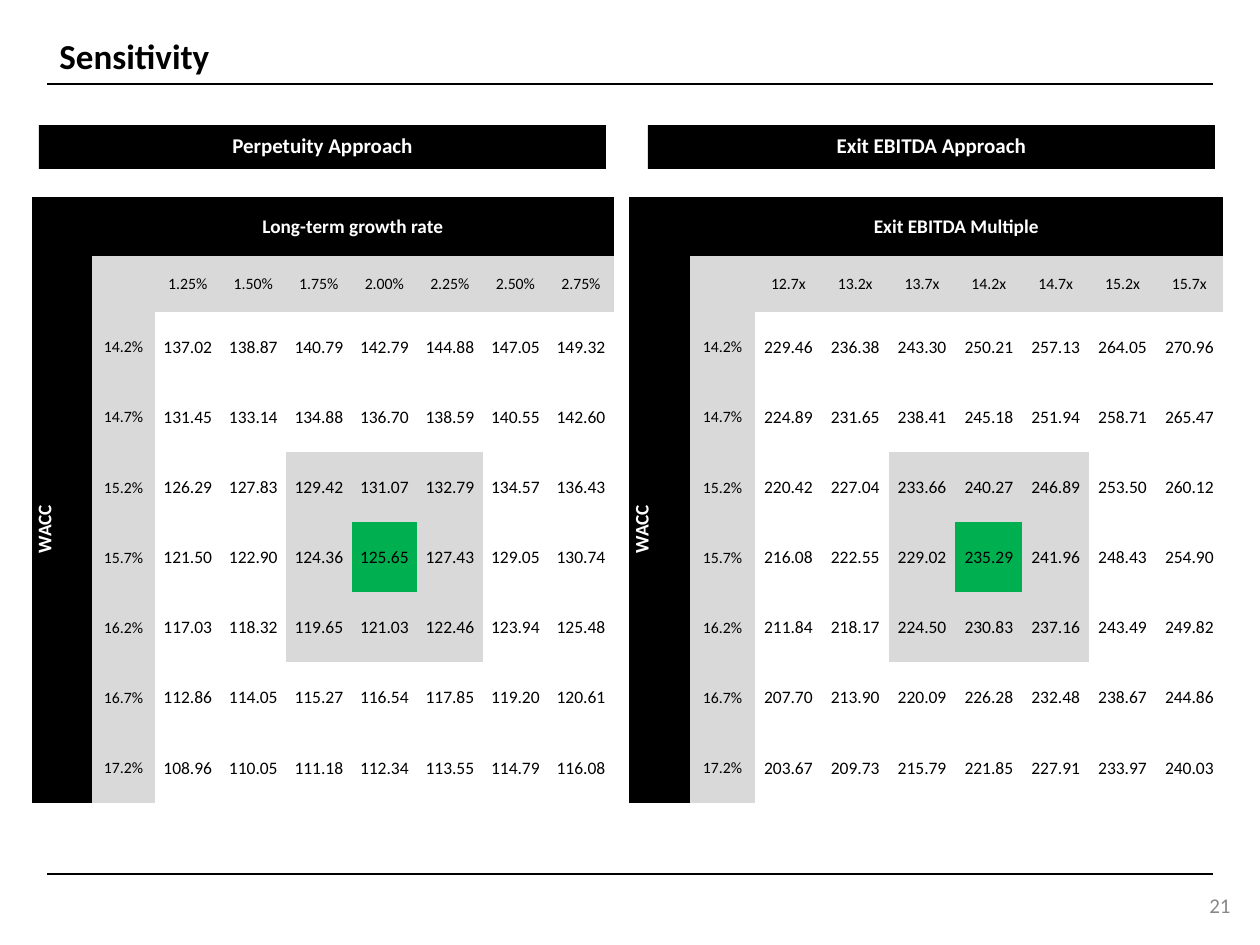
from dataclasses import dataclass

from pptx import Presentation
from pptx import util as u
from pptx.dml.color import RGBColor
from pptx.enum import shapes, text
from pptx.oxml import ns
from pptx.oxml import xmlchemy

SCALE = u.Inches(1) / 126
FONT = "Calibri"
NO_STYLE = "{2D5ABB26-0587-4C30-8999-92F81FD0307C}"

BLACK = RGBColor(0x00, 0x00, 0x00)
WHITE = RGBColor(0xFF, 0xFF, 0xFF)
GREY = RGBColor(0xD9, 0xD9, 0xD9)
PAGE_GREY = RGBColor(0x88, 0x88, 0x88)
GREEN = RGBColor(0x00, 0xB0, 0x50)

TABLE_TOP = 197
HEAD_HEIGHTS = (59, 56)
BODY_HEIGHT = 491
STEPS = 7
MIDDLE = STEPS // 2
WACC_RATES = ("14.2%", "14.7%", "15.2%", "15.7%", "16.2%", "16.7%", "17.2%")


@dataclass
class Label:
    words: str
    size: int
    colour: RGBColor = BLACK
    bold: bool = False
    align: text.PP_ALIGN = text.PP_ALIGN.CENTER


@dataclass
class Approach:
    name: str
    banner_left: int
    table_left: int
    side_widths: tuple[int, int]
    body_width: int
    driver: str
    driver_values: str
    prices: str


APPROACHES = (
    Approach(
        "Perpetuity Approach", 39, 32, (60, 63), 459, "Long-term growth rate",
        "1.25% 1.50% 1.75% 2.00% 2.25% 2.50% 2.75%",
        """137.02 138.87 140.79 142.79 144.88 147.05 149.32
        131.45 133.14 134.88 136.70 138.59 140.55 142.60
        126.29 127.83 129.42 131.07 132.79 134.57 136.43
        121.50 122.90 124.36 125.65 127.43 129.05 130.74
        117.03 118.32 119.65 121.03 122.46 123.94 125.48
        112.86 114.05 115.27 116.54 117.85 119.20 120.61
        108.96 110.05 111.18 112.34 113.55 114.79 116.08""",
    ),
    Approach(
        "Exit EBITDA Approach", 648, 629, (61, 65), 468, "Exit EBITDA Multiple",
        "12.7x 13.2x 13.7x 14.2x 14.7x 15.2x 15.7x",
        """229.46 236.38 243.30 250.21 257.13 264.05 270.96
        224.89 231.65 238.41 245.18 251.94 258.71 265.47
        220.42 227.04 233.66 240.27 246.89 253.50 260.12
        216.08 222.55 229.02 235.29 241.96 248.43 254.90
        211.84 218.17 224.50 230.83 237.16 243.49 249.82
        207.70 213.90 220.09 226.28 232.48 238.67 244.86
        203.67 209.73 215.79 221.85 227.91 233.97 240.03""",
    ),
)


def px(length: float) -> u.Emu:
    return u.Emu(round(length * SCALE))


def write(frame, label: Label) -> None:
    para = frame.paragraphs[0]
    para.text = label.words
    para.alignment = label.align
    para.font.name = FONT
    para.font.size = u.Pt(label.size)
    para.font.bold = label.bold
    para.font.color.rgb = label.colour


def add_rule(page, y: int) -> None:
    rule = page.shapes.add_connector(
        shapes.MSO_CONNECTOR.STRAIGHT, px(47), px(y), px(1213), px(y))
    rule.line.color.rgb = BLACK
    rule.line.width = u.Pt(1.5)
    rule._element.spPr.append(xmlchemy.OxmlElement("a:effectLst"))


def add_text(page, bounds: tuple[int, int, int, int], label: Label,
             anchor: text.MSO_ANCHOR) -> None:
    box = page.shapes.add_textbox(*map(px, bounds))
    box.text_frame.word_wrap = True
    box.text_frame.vertical_anchor = anchor
    write(box.text_frame, label)
    box.text_frame.paragraphs[0].line_spacing = 0.9


def add_banner(page, approach: Approach) -> None:
    banner = page.shapes.add_shape(
        shapes.MSO_SHAPE.RECTANGLE, px(approach.banner_left), px(125), px(567), px(44))
    banner.shadow.inherit = False
    banner.fill.solid()
    banner.fill.fore_color.rgb = BLACK
    banner.line.fill.background()
    banner.text_frame.vertical_anchor = text.MSO_ANCHOR.MIDDLE
    write(banner.text_frame, Label(approach.name, 12, WHITE, True))
    banner.text_frame.paragraphs[0].line_spacing = 0.9


def fill_cell(cell, fill: RGBColor | None, label: Label | None = None) -> None:
    if fill is None:
        cell.fill.background()
    else:
        cell.fill.solid()
        cell.fill.fore_color.rgb = fill
    cell.margin_left = cell.margin_right = cell.margin_top = px(1)
    cell.margin_bottom = 0
    cell.vertical_anchor = text.MSO_ANCHOR.MIDDLE
    if label:
        write(cell.text_frame, label)


def price_fill(row: int, column: int) -> RGBColor | None:
    distance = max(abs(row - MIDDLE), abs(column - MIDDLE))
    return {0: GREEN, 1: GREY}.get(distance)


def add_sensitivity(page, approach: Approach) -> None:
    widths = (*approach.side_widths, *[approach.body_width / STEPS] * STEPS)
    heights = (*HEAD_HEIGHTS, *[BODY_HEIGHT / STEPS] * STEPS)
    table = page.shapes.add_table(
        len(heights), len(widths), px(approach.table_left), px(TABLE_TOP),
        px(sum(widths)), px(sum(heights))).table
    table.first_row = table.horz_banding = False
    table._tbl.tblPr.find(ns.qn("a:tableStyleId")).text = NO_STYLE
    for column, width in zip(table.columns, widths):
        column.width = px(width)
    for row, height in zip(table.rows, heights):
        row.height = px(height)

    table.cell(0, 1).merge(table.cell(0, STEPS + 1))
    table.cell(1, 0).merge(table.cell(STEPS + 1, 0))
    fill_cell(table.cell(0, 0), BLACK)
    fill_cell(table.cell(0, 1), BLACK, Label(approach.driver, 11, WHITE, True))
    fill_cell(table.cell(1, 0), BLACK, Label("WACC", 11, WHITE, True))
    table.cell(1, 0)._tc.get_or_add_tcPr().set("vert", "vert270")
    fill_cell(table.cell(1, 1), GREY)

    for column, value in enumerate(approach.driver_values.split()):
        fill_cell(table.cell(1, column + 2), GREY, Label(value, 9))
    for row, (rate, prices) in enumerate(zip(WACC_RATES, approach.prices.splitlines())):
        fill_cell(table.cell(row + 2, 1), GREY, Label(rate, 9))
        for column, price in enumerate(prices.split()):
            fill_cell(table.cell(row + 2, column + 2), price_fill(row, column),
                      Label(price, 10))


def main() -> None:
    deck = Presentation()
    deck.slide_width, deck.slide_height = px(1260), px(945)
    page = deck.slides.add_slide(deck.slide_layouts[6])
    for y in (84, 874):
        add_rule(page, y)
    add_text(page, (47, 39, 1166, 44),
             Label("Sensitivity", 20, BLACK, True, text.PP_ALIGN.LEFT),
             text.MSO_ANCHOR.BOTTOM)
    add_text(page, (1157, 888, 86, 38),
             Label("21", 12, PAGE_GREY, align=text.PP_ALIGN.RIGHT),
             text.MSO_ANCHOR.MIDDLE)
    for approach in APPROACHES:
        add_sensitivity(page, approach)
        add_banner(page, approach)
    deck.save("out.pptx")


if __name__ == "__main__":
    main()
